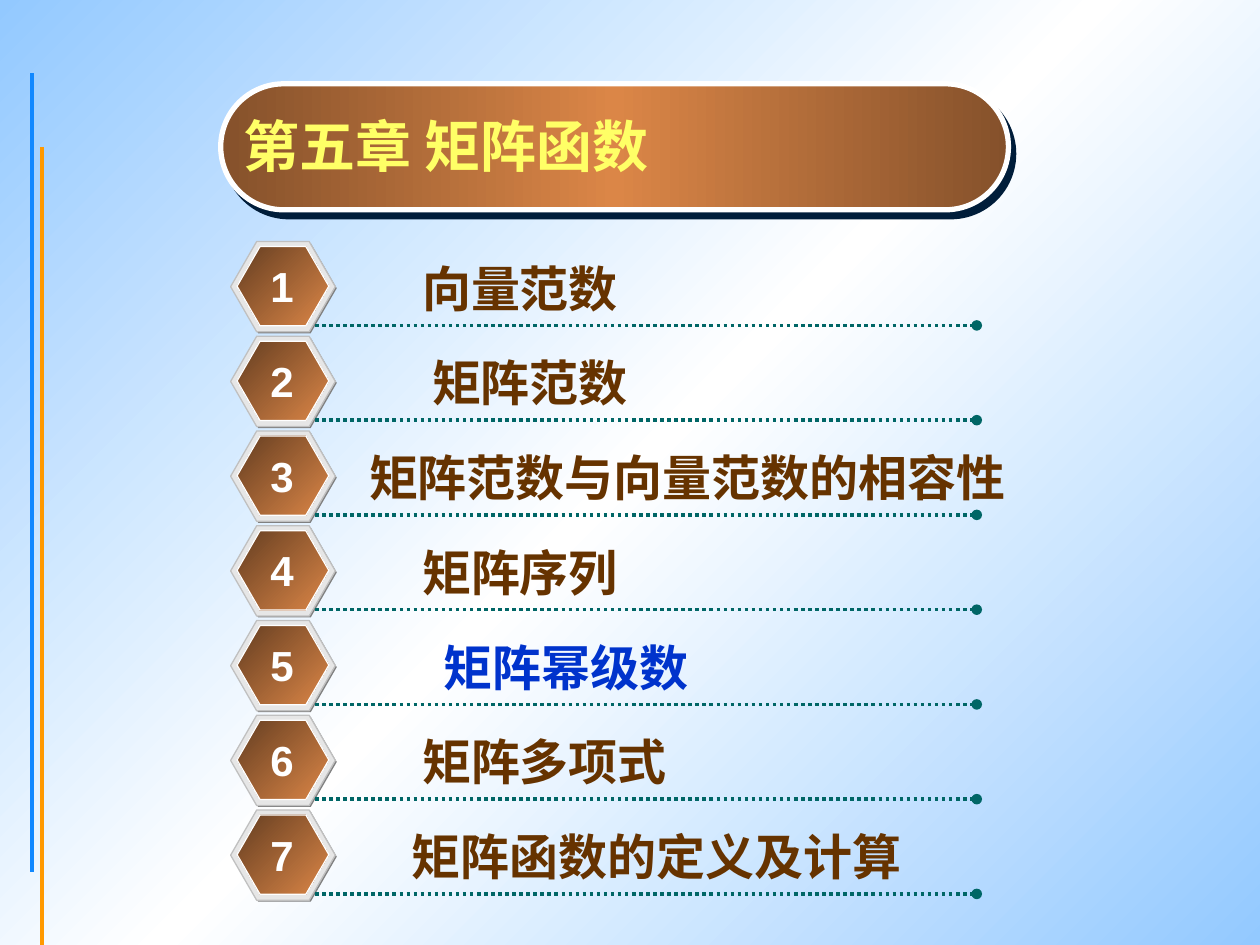
"""Build the contents slide of a chapter on matrix functions."""
import pptx
import pptx.dml.color
import pptx.enum.dml
import pptx.enum.shapes
import pptx.enum.text
import pptx.oxml
import pptx.oxml.ns
import pptx.util

Cm = pptx.util.Cm
SHAPE = pptx.enum.shapes.MSO_SHAPE
ANCHOR = pptx.enum.text.MSO_ANCHOR
ALIGN = pptx.enum.text.PP_ALIGN
DOTTED = pptx.enum.dml.MSO_LINE.ROUND_DOT

BROWN = "663300"
ITEMS = [
    ("向量范数", 8.26, 7.42, BROWN),
    ("矩阵范数", 8.46, 8.05, BROWN),
    ("矩阵范数与向量范数的相容性", 7.19, 13.97, BROWN),
    ("矩阵序列", 8.26, 7.42, BROWN),
    ("矩阵幂级数", 8.69, 8.05, "0033CC"),
    ("矩阵多项式", 8.26, 8.05, BROWN),
    ("矩阵函数的定义及计算", 8.05, 11, BROWN),
]
FIRST_ROW = 4.87
ROW_PITCH = 1.91


def color(value):
    """Return the colour of a hex string."""
    return pptx.dml.color.RGBColor.from_string(value)


def add_xml(parent, markup):
    """Append a drawing element given as markup."""
    namespace = pptx.oxml.ns.nsdecls("a")
    tag, rest = markup.split(" ", 1)
    parent.append(pptx.oxml.parse_xml(f"{tag} {namespace} {rest}"))


def set_gradient(fill, element, colors, angle):
    """Spread colours evenly along a clockwise angle."""
    fill.gradient()
    fill.gradient_angle = (360 - angle) % 360
    stops = element.find(".//" + pptx.oxml.ns.qn("a:gsLst"))
    stops.clear()
    for index, value in enumerate(colors):
        position = 100000 * index // (len(colors) - 1)
        add_xml(stops, f'<a:gs pos="{position}"><a:srgbClr val="{value}"/></a:gs>')


def format_text(shape, text, size=28, font="Times New Roman", fill=BROWN,
                align=ALIGN.LEFT, anchor=ANCHOR.MIDDLE, wrap=True):
    """Write one bold paragraph into a shape."""
    frame = shape.text_frame
    frame.word_wrap = wrap
    frame.auto_size = pptx.enum.text.MSO_AUTO_SIZE.NONE
    frame.vertical_anchor = anchor
    paragraph = frame.paragraphs[0]
    paragraph.alignment = align
    run = paragraph.add_run()
    run.text = text
    run.font.size = pptx.util.Pt(size)
    run.font.name = font
    run.font.bold = True
    run.font.color.rgb = color(fill)


def add_box(shapes, left, top, width, height, text, **text_format):
    """Add a text box."""
    box = shapes.add_textbox(Cm(left), Cm(top), Cm(width), Cm(height))
    format_text(box, text, **text_format)


def add_line(shapes, start, end, stroke, width, dotted_to_oval=False):
    """Add a straight line, optionally dotted with a round end."""
    line = shapes.add_connector(pptx.enum.shapes.MSO_CONNECTOR.STRAIGHT,
                                *(Cm(value) for value in (*start, *end)))
    line.line.color.rgb = color(stroke)
    line.line.width = pptx.util.Pt(width)
    if dotted_to_oval:
        line.line.dash_style = DOTTED
        add_xml(line.line._get_or_add_ln(), '<a:tailEnd type="oval"/>')
    add_xml(line.element.spPr, "<a:effectLst />")


def add_shape(shapes, kind, position, colors, adjustment, stroke=None, width=0.75, angle=45):
    """Add a preset shape with a plain or gradient fill."""
    shape = shapes.add_shape(kind, *(Cm(value) for value in position))
    shape.adjustments[0] = adjustment
    shape.shadow.inherit = False
    if len(colors) > 1:
        set_gradient(shape.fill, shape.element, colors, angle)
    else:
        shape.fill.solid()
        shape.fill.fore_color.rgb = color(colors[0])
    if stroke:
        shape.line.color.rgb = color(stroke)
        shape.line.width = pptx.util.Pt(width)
    else:
        shape.line.fill.background()
    return shape


def add_title(slide, text):
    """Add the rounded banner and put the title over it."""
    banner = add_shape(slide.shapes, SHAPE.ROUNDED_RECTANGLE, (4.45, 1.69, 15.88, 2.54),
                       ["85512B", "DB8647", "85512B"], 0.5, "FFFFFF", 3, 0)
    effects = banner.element.spPr.find(pptx.oxml.ns.qn("a:effectLst"))
    add_xml(effects, '<a:outerShdw dist="63500" dir="3180000" algn="ctr" rotWithShape="0">'
                     '<a:srgbClr val="001D3A"/></a:outerShdw>')
    title = slide.shapes.title
    title.left, title.top, title.width, title.height = Cm(4.66), Cm(2.12), Cm(15.67), Cm(1.63)
    format_text(title, text, size=32, fill="FFFF66", anchor=ANCHOR.TOP)
    banner.element.addnext(title.element)


def add_marker(slide, number, top):
    """Add a numbered hexagon with its dotted rule."""
    shapes = slide.shapes.add_group_shape().shapes
    layers = [
        ((4.68, top + 0.03, 2.11, 1.82), ["808080"], None),
        ((4.65, top, 2.11, 1.82), ["E6E6E6"], "C0C0C0"),
        ((4.78, top + 0.1, 1.85, 1.6), ["653E21", "DB8647"], "FFFFFF"),
    ]
    for position, colors, stroke in layers:
        add_shape(shapes, SHAPE.HEXAGON, position, colors, 0.289, stroke)
    rule = top + 1.69
    add_line(shapes, (6.35, rule), (19.69, rule), "006666", 2, dotted_to_oval=True)
    add_box(shapes, 5.2, top + 0.26, 0.97, 1.27, str(number), size=24, font="Arial",
            fill="FFFFFF", align=ALIGN.CENTER, anchor=ANCHOR.TOP, wrap=False)


def main():
    """Build and save the presentation."""
    presentation = pptx.Presentation()
    presentation.slide_width, presentation.slide_height = Cm(25.4), Cm(19.05)
    slide = presentation.slides.add_slide(presentation.slide_layouts[5])
    set_gradient(slide.background.fill, slide.element, ["93C9FF", "FFFFFF", "93C9FF"], 45)
    add_line(slide.shapes, (0.85, 2.96), (0.85, 19.05), "FF9900", 2.25)
    add_line(slide.shapes, (0.64, 1.48), (0.64, 17.57), "1188FF", 2.25)
    add_title(slide, "第五章 矩阵函数")
    for index, (text, left, width, fill) in enumerate(ITEMS):
        top = FIRST_ROW + index * ROW_PITCH
        add_marker(slide, index + 1, top)
        add_box(slide.shapes, left, top + 0.2, width, 1.45, text, fill=fill)
    presentation.save("out.pptx")


if __name__ == "__main__":
    main()
